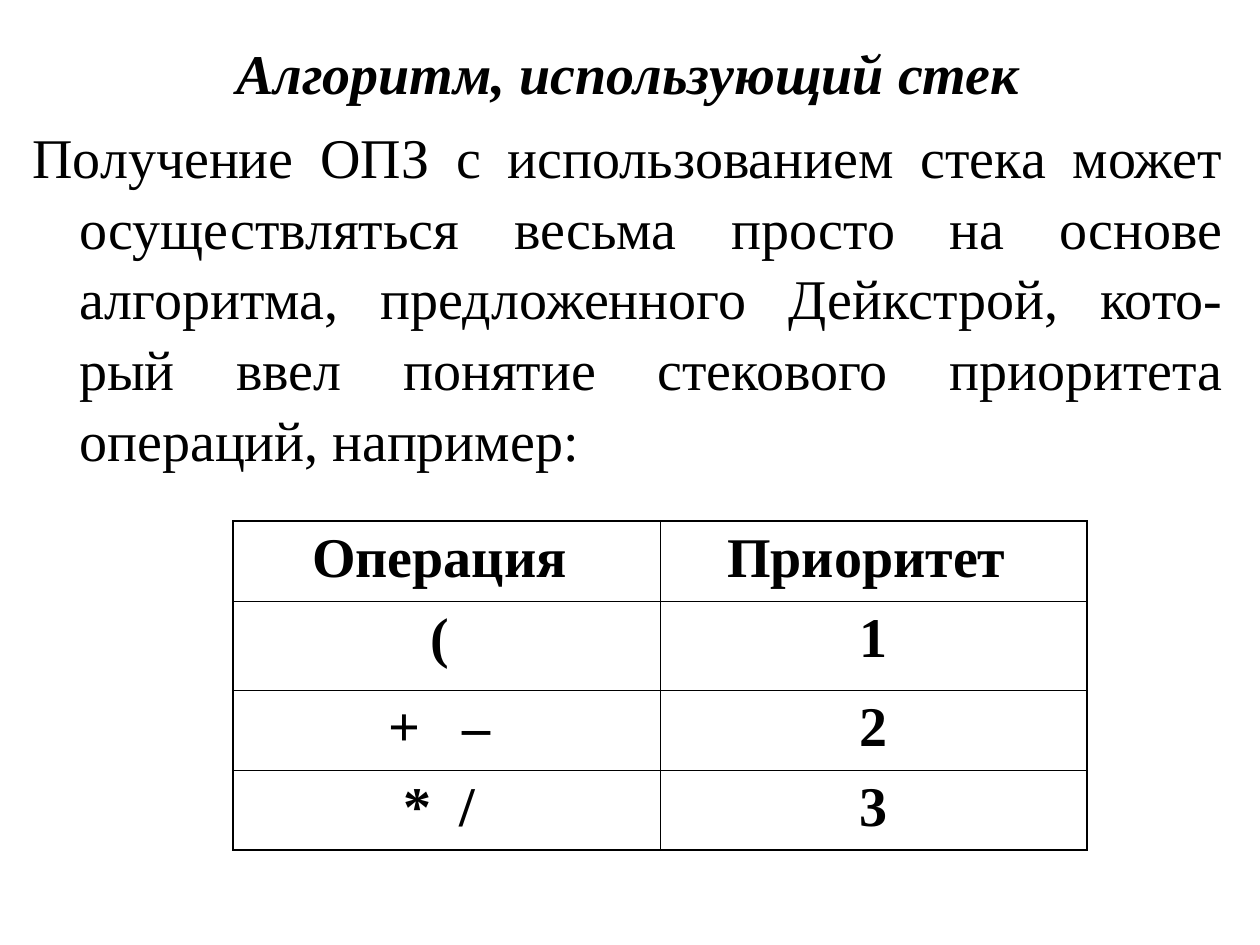
import pptx
import pptx.util
import pptx.dml.color
import pptx.enum.text
from lxml import etree
from pptx.oxml.ns import qn

TITLE = "Алгоритм, использующий стек"
BODY = ("Получение ОПЗ с использованием стека может осуществляться весьма "
        "просто на основе алгоритма, предложенного Дейкстрой, кото-рый ввел "
        "понятие стекового приоритета операций, например:")
PRIORITIES = [
    ("Операция ", "Приоритет "),
    ("( ", "1"),
    ("+   – ", "2"),
    ("*  / ", "3"),
]

SCALE = 914400 // 126
SLIDE_SIZE = (1260, 945)
TEXT_BOX = (20, 35, 1216, 437)
TABLE_ORIGIN = (233, 521)
COLUMN_WIDTH = 427
ROW_HEIGHTS = [80, 89, 80, 80]
HANGING_INDENT = 47

THEME = {
    "font": "Times New Roman",
    "size": 32,
    "ink": "000000",
    "outer_line": 1.08,
    "inner_line": 0.45,
    "line_spacing": 1.05,
    "space_before": 8,
}
ALIGN = pptx.enum.text.PP_ALIGN


def px(length):
    return pptx.util.Emu(length * SCALE)


def format_paragraph(paragraph, alignment, bold=False, italic=False):
    paragraph.alignment = alignment
    for run in paragraph.runs:
        run.font.name = THEME["font"]
        run.font.size = pptx.util.Pt(THEME["size"])
        run.font.bold = bold
        run.font.italic = italic
        run.font.color.rgb = pptx.dml.color.RGBColor.from_string(THEME["ink"])


def add_border(cell, side, width):
    """Draw one side of a cell: L, R, T or B."""
    line = etree.SubElement(cell._tc.get_or_add_tcPr(), qn(f"a:ln{side}"),
                            w=str(pptx.util.Pt(width)))
    fill = etree.SubElement(line, qn("a:solidFill"))
    etree.SubElement(fill, qn("a:srgbClr"), val=THEME["ink"])


def add_text(slide):
    frame = slide.shapes.add_textbox(*map(px, TEXT_BOX)).text_frame
    frame.word_wrap = True
    frame.margin_top = 0
    frame.text = f"{TITLE}\n{BODY}"
    title, body = frame.paragraphs
    format_paragraph(title, ALIGN.CENTER, bold=True, italic=True)
    format_paragraph(body, ALIGN.JUSTIFY)
    for paragraph in (title, body):
        paragraph.line_spacing = THEME["line_spacing"]
        paragraph.space_before = pptx.util.Pt(THEME["space_before"])
        properties = paragraph._p.get_or_add_pPr()
        properties.set("marL", str(px(HANGING_INDENT)))
        properties.set("indent", str(-px(HANGING_INDENT)))


def add_priority_table(slide):
    row_count, column_count = len(PRIORITIES), len(PRIORITIES[0])
    table = slide.shapes.add_table(
        row_count, column_count, *map(px, TABLE_ORIGIN),
        px(COLUMN_WIDTH * column_count), px(sum(ROW_HEIGHTS))).table
    table.first_row = table.horz_banding = False
    for column in table.columns:
        column.width = px(COLUMN_WIDTH)
    for i, texts in enumerate(PRIORITIES):
        table.rows[i].height = px(ROW_HEIGHTS[i])
        for j, text in enumerate(texts):
            cell = table.cell(i, j)
            cell.text_frame.text = text
            format_paragraph(cell.text_frame.paragraphs[0], ALIGN.CENTER, bold=True)
            outer_sides = {"L": j == 0, "R": j == column_count - 1,
                           "T": i == 0, "B": i == row_count - 1}
            for side, outer in outer_sides.items():
                add_border(cell, side, THEME["outer_line" if outer else "inner_line"])
            cell.fill.background()


def main():
    presentation = pptx.Presentation()
    presentation.slide_width, presentation.slide_height = map(px, SLIDE_SIZE)
    slide = presentation.slides.add_slide(presentation.slide_layouts[6])
    add_text(slide)
    add_priority_table(slide)
    presentation.save("out.pptx")


if __name__ == "__main__":
    main()
